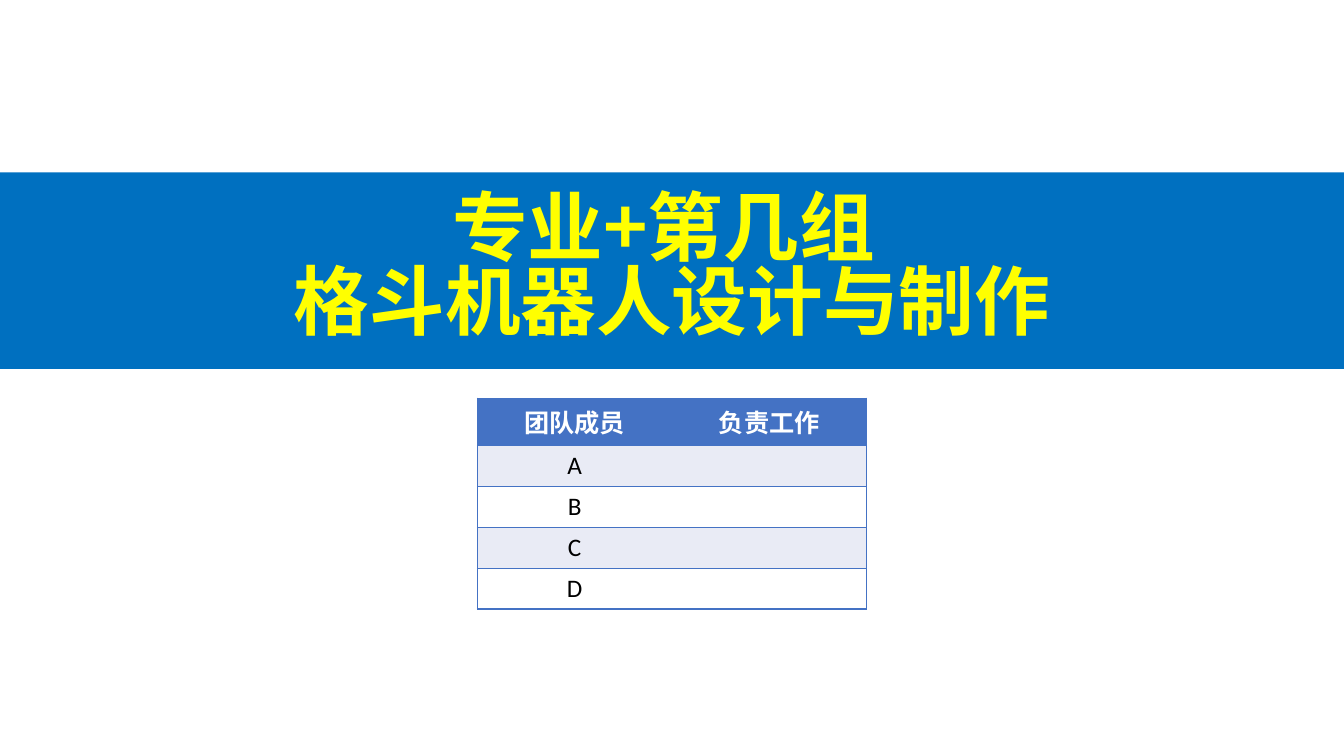
from dataclasses import dataclass

from lxml import etree
from pptx import Presentation
from pptx.dml.color import RGBColor
from pptx.enum.text import MSO_ANCHOR, MSO_AUTO_SIZE, PP_ALIGN
from pptx.oxml.ns import qn
from pptx.util import Inches, Pt

CENTER = PP_ALIGN.CENTER
MIDDLE = MSO_ANCHOR.MIDDLE
NO_FIT = MSO_AUTO_SIZE.NONE

WIDTH, HEIGHT = Inches(13.33), Inches(7.5)
HEAD_ROW, BODY_ROW = Inches(0.47), Inches(0.4)
COLORS = {
    "band": "0070C0",
    "title": "FFFF00",
    "head": "4472C4",
    "odd": "E9EBF5",
    "even": "FFFFFF",
    "white": "FFFFFF",
    "black": "000000",
}
TITLE = ["专业+第几组 ", "格斗机器人设计与制作"]
TEAM = [
    ["团队成员", "负责工作"],
    ["A", ""],
    ["B", ""],
    ["C", ""],
    ["D", ""],
]


@dataclass(frozen=True)
class Style:
    font: str
    size: int
    color: str
    bold: bool


TITLE_STYLE = Style("Noto Sans CJK SC", 54, "title", True)
HEAD_STYLE = Style("Noto Sans CJK SC", 18, "white", True)
BODY_STYLE = Style("Calibri", 18, "black", False)


def rgb(name: str) -> RGBColor:
    return RGBColor.from_string(COLORS[name])


def paint(shape, name: str) -> None:
    shape.fill.solid()
    shape.fill.fore_color.rgb = rgb(name)


def format_text(frame, style: Style) -> None:
    for para in frame.paragraphs:
        para.alignment = CENTER
        para.font.size = Pt(style.size)
        for run in para.runs:
            font = run.font
            font.name, font.size, font.bold = style.font, Pt(style.size), style.bold
            font.color.rgb = rgb(style.color)
            east = etree.SubElement(font._element, qn("a:ea"))
            east.set("typeface", style.font)


def add_edges(cell, shown: str) -> None:
    """Draw the sides named in shown (letters of LRTB) and hide the others."""
    props = cell._tc.get_or_add_tcPr()
    for side in "LRTB":
        line = etree.SubElement(props, qn(f"a:ln{side}"), w=str(Pt(1)))
        if side in shown:
            fill = etree.SubElement(line, qn("a:solidFill"))
            etree.SubElement(fill, qn("a:srgbClr"), val=COLORS["head"])
        else:
            etree.SubElement(line, qn("a:noFill"))


def add_title(slide) -> None:
    title = slide.shapes.title
    title.left, title.top = 0, int(HEIGHT * 0.228)
    title.width, title.height = WIDTH, int(HEIGHT * 0.26)
    paint(title, "band")
    frame = title.text_frame
    frame.text = "\n".join(TITLE)
    frame.auto_size = NO_FIT
    frame.vertical_anchor = MIDDLE
    format_text(frame, TITLE_STYLE)
    for para in frame.paragraphs:
        para.line_spacing = 0.81


def add_team(slide) -> None:
    rows, cols = len(TEAM), len(TEAM[0])
    width = Inches(3.86)
    height = HEAD_ROW + BODY_ROW * (rows - 1)
    table = slide.shapes.add_table(
        rows, cols, (WIDTH - width) // 2, Inches(3.95), width, height
    ).table
    for r, texts in enumerate(TEAM):
        table.rows[r].height = BODY_ROW if r else HEAD_ROW
        shade = ("odd" if r % 2 else "even") if r else "head"
        for c, text in enumerate(texts):
            cell = table.cell(r, c)
            cell.text_frame.text = text
            format_text(cell.text_frame, BODY_STYLE if r else HEAD_STYLE)
            add_edges(cell, "TB" + ("L" if c == 0 else "") + ("R" if c == cols - 1 else ""))
            paint(cell, shade)


def main() -> None:
    deck = Presentation()
    deck.slide_width, deck.slide_height = WIDTH, HEIGHT
    slide = deck.slides.add_slide(deck.slide_layouts[5])
    add_title(slide)
    add_team(slide)
    deck.save("out.pptx")


if __name__ == "__main__":
    main()
